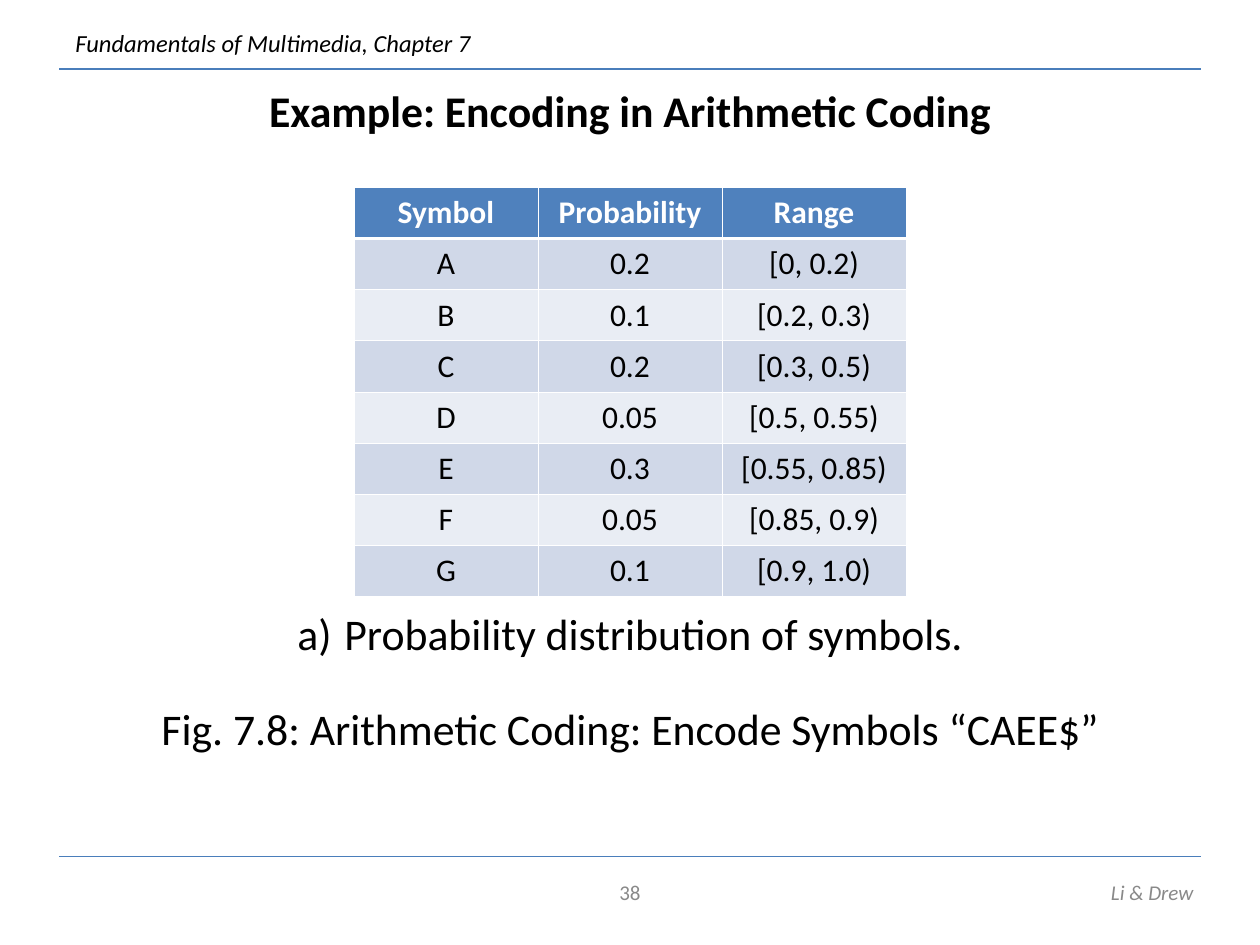
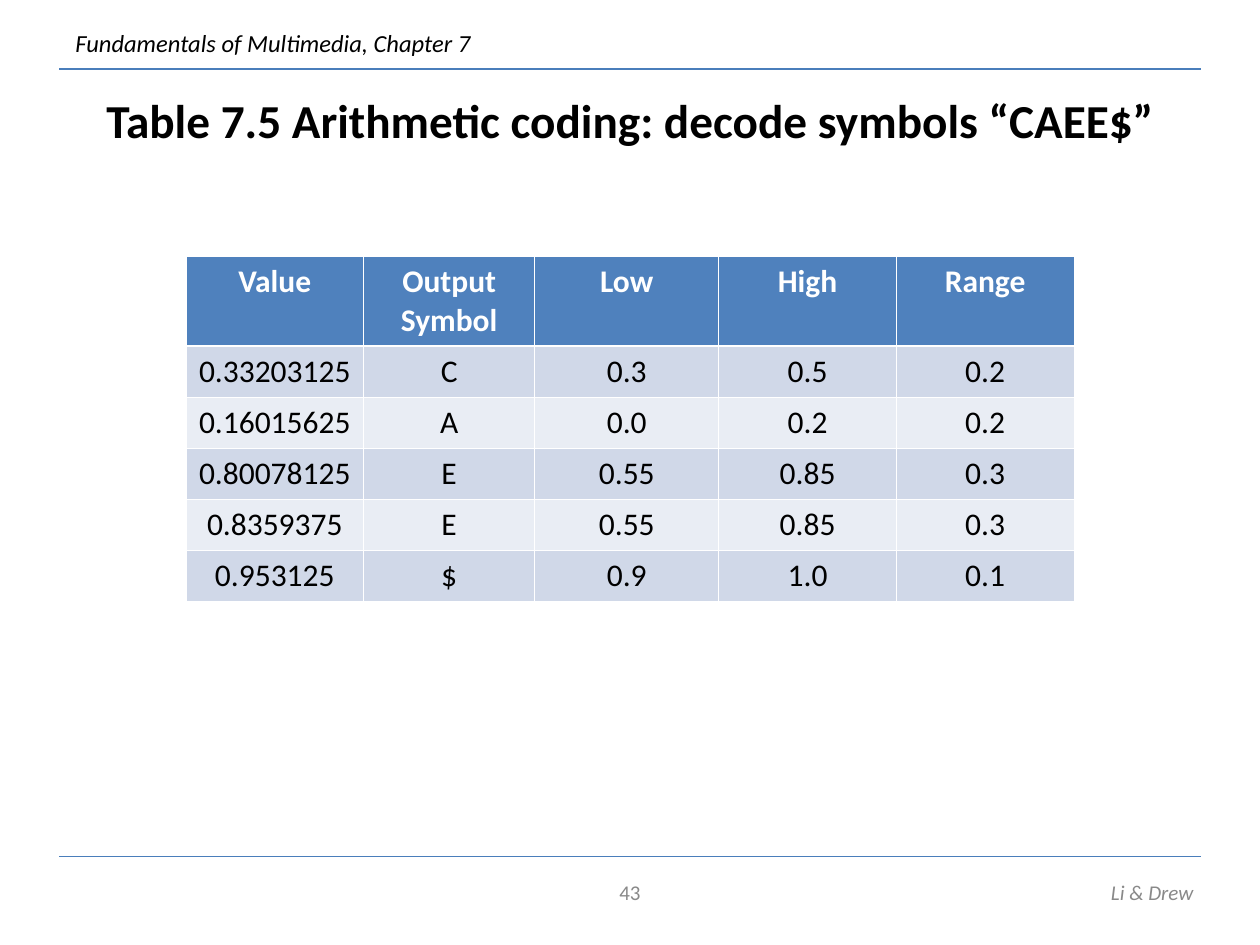
"""Build two slides on arithmetic coding, each with a title and a table."""
from dataclasses import dataclass

import pptx
import pptx.dml.color
import pptx.enum.shapes
import pptx.enum.text
import pptx.oxml
import pptx.oxml.ns
import pptx.util
from lxml import etree

Cm = pptx.util.Cm
Pt = pptx.util.Pt
RGBColor = pptx.dml.color.RGBColor
ALIGN = pptx.enum.text.PP_ALIGN
ANCHOR = pptx.enum.text.MSO_ANCHOR
qn = pptx.oxml.ns.qn

BLACK = RGBColor(0x00, 0x00, 0x00)
WHITE = RGBColor(0xFF, 0xFF, 0xFF)
GREY = RGBColor(0x89, 0x89, 0x89)
RULE_BLUE = RGBColor(0x4A, 0x7E, 0xBB)
HEADER_BLUE = RGBColor(0x4F, 0x81, 0xBD)
BANDS = (RGBColor(0xD0, 0xD8, 0xE8), RGBColor(0xE9, 0xED, 0xF4))
FONT = "Calibri"
THIN, THICK = Pt(0.45), Pt(1.47)
ROW_HEIGHT = Cm(1.03)
TITLE_ONLY = 5

SYMBOL_ROWS = [
    ("Symbol", "Probability", "Range"),
    ("A", "0.2", "[0, 0.2)"),
    ("B", "0.1", "[0.2, 0.3)"),
    ("C", "0.2", "[0.3, 0.5)"),
    ("D", "0.05", "[0.5, 0.55)"),
    ("E", "0.3", "[0.55, 0.85)"),
    ("F", "0.05", "[0.85, 0.9)"),
    ("G", "0.1", "[0.9, 1.0)"),
]
DECODE_ROWS = [
    ("Value", "Output Symbol", "Low", "High", "Range"),
    ("0.33203125", "C", "0.3", "0.5", "0.2"),
    ("0.16015625", "A", "0.0", "0.2", "0.2"),
    ("0.80078125", "E", "0.55", "0.85", "0.3"),
    ("0.8359375", "E", "0.55", "0.85", "0.3"),
    ("0.953125", "$", "0.9", "1.0", "0.1"),
]


@dataclass
class Box:
    """A rectangle on the slide."""

    left: int
    top: int
    width: int
    height: int


def write(paragraph, text, size, color=BLACK, bold=False, italic=False, align=ALIGN.CENTER):
    """Add one formatted run to a paragraph."""
    paragraph.alignment = align
    run = paragraph.add_run()
    run.text = text
    font = run.font
    font.name, font.size, font.bold, font.italic = FONT, Pt(size), bold, italic
    font.color.rgb = color


def prepare_frame(frame, inset=0, anchor=ANCHOR.MIDDLE):
    """Set the wrapping, insets and anchor of a text frame."""
    frame.word_wrap = True
    frame.auto_size = pptx.enum.text.MSO_AUTO_SIZE.NONE
    frame.vertical_anchor = anchor
    frame.margin_left = frame.margin_right = inset
    frame.margin_top = frame.margin_bottom = 0


def add_text(slide, box, text, size, **style):
    """Add a text box holding one line."""
    frame = slide.shapes.add_textbox(box.left, box.top, box.width, box.height).text_frame
    prepare_frame(frame, Cm(0.25))
    write(frame.paragraphs[0], text, size, **style)


def add_rule(slide, box, y):
    """Draw a thin horizontal rule across the box."""
    rule = slide.shapes.add_connector(
        pptx.enum.shapes.MSO_CONNECTOR.STRAIGHT, box.left, y, box.left + box.width, y)
    rule.line.color.rgb = RULE_BLUE
    rule.line.width = Pt(0.75)
    etree.SubElement(rule._element.spPr, qn("a:effectLst"))


def add_running_header(slide, box):
    """Place the book title above a rule on the bottom edge of the box."""
    add_rule(slide, box, box.top + box.height)
    label = Box(box.left + Cm(0.08), box.top, Cm(11), Cm(0.9))
    add_text(slide, label, "Fundamentals of Multimedia, Chapter 7", 14,
             italic=True, align=ALIGN.LEFT)


def add_footer(slide, box, number):
    """Place the page number and authors below a rule on the top edge of the box."""
    add_rule(slide, box, box.top)
    line = Box(box.left, box.top + Cm(0.21), box.width + Cm(0.1), Cm(1.02))
    page = Box(box.left, line.top, box.width, line.height)
    add_text(slide, page, number, 12, color=GREY)
    add_text(slide, line, "Li & Drew", 12, color=GREY, italic=True, align=ALIGN.RIGHT)


def add_title(slide, box, text, size):
    """Move the title placeholder into the box and format its text."""
    title = slide.shapes.title
    title.left, title.top, title.width, title.height = box.left, box.top, box.width, box.height
    prepare_frame(title.text_frame)
    write(title.text_frame.paragraphs[0], text, size, bold=True)


def set_borders(cell, top, bottom):
    """Give a cell white borders with the given top and bottom widths."""
    widths = {"lnL": THIN, "lnR": THIN, "lnT": top, "lnB": bottom}
    properties = cell._tc.get_or_add_tcPr()
    for position, (side, width) in enumerate(widths.items()):
        border = etree.Element(qn(f"a:{side}"), w=str(int(width)))
        fill = etree.SubElement(border, qn("a:solidFill"))
        etree.SubElement(fill, qn("a:srgbClr"), val=str(WHITE))
        properties.insert(position, border)


def add_banded_table(slide, box, rows, column_widths, header_height):
    """Centre a banded table at the top of the box."""
    width = sum(column_widths)
    height = header_height + ROW_HEIGHT * (len(rows) - 1)
    table = slide.shapes.add_table(
        len(rows), len(column_widths), box.left + (box.width - width) // 2,
        box.top, width, height).table
    for column, column_width in zip(table.columns, column_widths):
        column.width = column_width
    for i, values in enumerate(rows):
        header = i == 0
        table.rows[i].height = header_height if header else ROW_HEIGHT
        for j, value in enumerate(values):
            cell = table.cell(i, j)
            cell.margin_left = cell.margin_right = Cm(0.2)
            cell.fill.solid()
            cell.fill.fore_color.rgb = HEADER_BLUE if header else BANDS[(i - 1) % 2]
            set_borders(cell, THICK if i == 1 else THIN, THICK if header else THIN)
            write(cell.text_frame.paragraphs[0], value, 18,
                  color=WHITE if header else BLACK, bold=header)


def add_captions(slide, box):
    """Write the lettered table caption and the figure caption in the box."""
    frame = slide.shapes.add_textbox(box.left, box.top, box.width, box.height).text_frame
    prepare_frame(frame, anchor=ANCHOR.TOP)
    distribution, figure = frame.paragraphs[0], frame.add_paragraph()
    properties = distribution._p.get_or_add_pPr()
    properties.set("marL", str(Cm(0.95)))
    properties.set("indent", str(-Cm(0.95)))
    etree.SubElement(properties, qn("a:buFont"), typeface=FONT)
    etree.SubElement(properties, qn("a:buAutoNum"), type="alphaLcParenR")
    write(distribution, "Probability distribution of symbols.", 25)
    figure.space_before = Pt(24)
    write(figure, "Fig. 7.8: Arithmetic Coding: Encode Symbols “CAEE$”", 25)


def add_base_slide(deck, number):
    """Add a title-only slide with the shared header and footer."""
    slide = deck.slides.add_slide(deck.slide_layouts[TITLE_ONLY])
    add_running_header(slide, Box(Cm(1.19), Cm(0.42), Cm(23.02), Cm(0.97)))
    add_footer(slide, Box(Cm(1.19), Cm(17.26), Cm(23.02), Cm(1.3)), number)
    return slide


def add_encoding_slide(deck, body):
    """Add the slide with the symbol probabilities."""
    slide = add_base_slide(deck, "38")
    add_title(slide, Box(body.left, body.top, body.width, Cm(1.2)),
              "Example: Encoding in Arithmetic Coding", 25)
    add_banded_table(slide, Box(body.left, body.top + Cm(2.17), body.width, Cm(8.24)),
                     SYMBOL_ROWS, [Cm(3.71)] * 3, ROW_HEIGHT)
    add_captions(slide, Box(body.left, body.top + Cm(10.63), body.width, Cm(3.2)))


def add_decoding_slide(deck, body):
    """Add the slide with the decoding steps."""
    slide = add_base_slide(deck, "43")
    add_title(slide, Box(body.left, body.top + Cm(0.21), body.width, Cm(1.2)),
              "Table 7.5 Arithmetic coding: decode symbols “CAEE$”", 27)
    add_banded_table(slide, Box(body.left, body.top + Cm(3.56), body.width, Cm(6.92)),
                     DECODE_ROWS, [Cm(w) for w in (3.58, 3.45, 3.71, 3.58, 3.58)], Cm(1.77))


def main():
    """Build and save the deck."""
    deck = pptx.Presentation()
    deck.slide_width, deck.slide_height = Cm(25.4), Cm(19.05)
    body = Box(Cm(1.27), Cm(1.61), Cm(22.86), Cm(15))
    add_encoding_slide(deck, body)
    add_decoding_slide(deck, body)
    deck.save("out.pptx")


if __name__ == "__main__":
    main()
